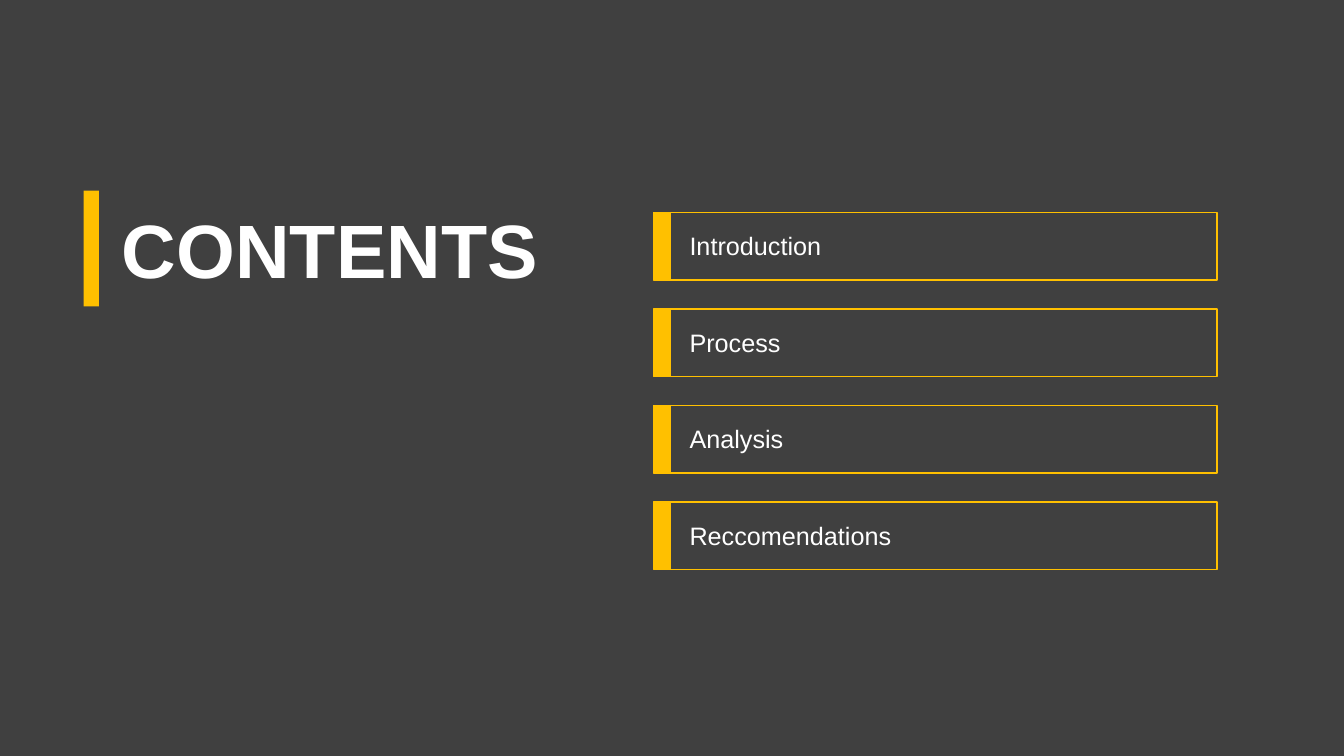
from dataclasses import dataclass

from pptx import Presentation
from pptx.dml.color import RGBColor
from pptx.enum.shapes import MSO_SHAPE
from pptx.enum.text import MSO_ANCHOR, MSO_AUTO_SIZE, PP_ALIGN
from pptx.util import Inches, Pt


@dataclass(frozen=True)
class Theme:
    back: RGBColor = RGBColor(0x40, 0x40, 0x40)
    gold: RGBColor = RGBColor(0xFF, 0xC0, 0x00)
    white: RGBColor = RGBColor(0xFF, 0xFF, 0xFF)
    font: str = "Arial"
    head: int = 54
    body: int = 18
    line: int = 1


class Deck:
    """Draw styled elements on the current slide."""

    def __init__(self, theme):
        self.theme = theme
        self.show = Presentation()
        self.show.slide_width = Inches(13.33)
        self.show.slide_height = Inches(7.5)
        self.slide = self.show.slides.add_slide(self.show.slide_layouts[5])
        fill = self.slide.background.fill
        fill.solid()
        fill.fore_color.rgb = theme.back

    def style(self, shape, text, size, bold=False):
        frame = shape.text_frame
        frame.text = text
        frame.word_wrap = True
        frame.auto_size = MSO_AUTO_SIZE.SHAPE_TO_FIT_TEXT
        frame.vertical_anchor = MSO_ANCHOR.TOP
        line = frame.paragraphs[0]
        line.alignment = PP_ALIGN.LEFT
        font = line.font
        font.name = self.theme.font
        font.size = Pt(size)
        font.bold = bold
        font.color.rgb = self.theme.white

    def title(self, text, x, y, w, h):
        shape = self.slide.shapes.title
        shape.left, shape.top = Inches(x), Inches(y)
        shape.width, shape.height = Inches(w), Inches(h)
        self.style(shape, text, self.theme.head, bold=True)

    def label(self, text, x, y, w, h):
        box = self.slide.shapes.add_textbox(
            Inches(x), Inches(y), Inches(w), Inches(h))
        self.style(box, text, self.theme.body)

    def rect(self, x, y, w, h, solid=True, edge=True):
        shape = self.slide.shapes.add_shape(
            MSO_SHAPE.RECTANGLE, Inches(x), Inches(y), Inches(w), Inches(h))
        shape.shadow.inherit = False
        if solid:
            shape.fill.solid()
            shape.fill.fore_color.rgb = self.theme.gold
        else:
            shape.fill.background()
        if edge:
            shape.line.color.rgb = self.theme.gold
            shape.line.width = Pt(self.theme.line)
        else:
            shape.line.fill.background()

    def entry(self, text, y):
        self.rect(6.64, y, 5.43, 0.67, solid=False)
        self.label(text, 6.74, y + 0.13, 4.39, 0.4)
        self.rect(6.48, y, 0.17, 0.67)


def main():
    deck = Deck(Theme())
    deck.rect(0.83, 1.89, 0.15, 1.15, edge=False)
    deck.title("CONTENTS", 1.11, 1.96, 4.74, 1.01)
    topics = ["Introduction", "Process", "Analysis", "Reccomendations"]
    first, last = 2.11, 4.98
    step = (last - first) / (len(topics) - 1)
    for i, topic in enumerate(topics):
        deck.entry(topic, first + i * step)
    deck.show.save("out.pptx")


if __name__ == "__main__":
    main()
